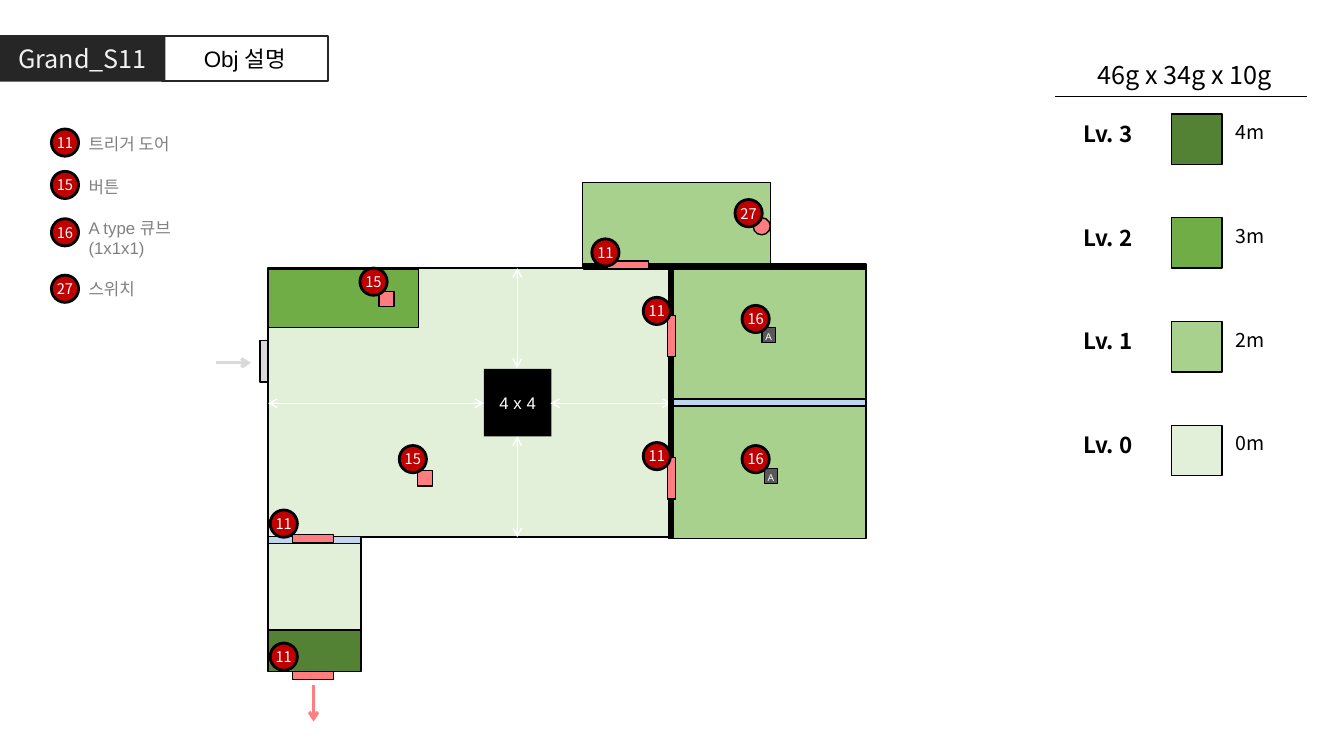
import pptx
import pptx.util
import pptx.dml.color
import pptx.enum.shapes
import pptx.enum.text
import pptx.oxml.ns
import lxml.etree

Inches, Pt = pptx.util.Inches, pptx.util.Pt
KIND = pptx.enum.shapes.MSO_SHAPE
ALIGN = pptx.enum.text.PP_ALIGN
ANCHOR = pptx.enum.text.MSO_ANCHOR
qn = pptx.oxml.ns.qn
NOTO, ARIAL = "Noto Sans CJK KR", "Arial"
COLORS = {
    "black": "000000", "white": "FFFFFF", "dark": "262626", "pale": "F2F2F2",
    "lv0": "E2F0D9", "lv1": "A9D18E", "lv2": "70AD47", "lv3": "548235",
    "glass": "BDD7EE", "pink": "FF7C80", "red": "C00000",
    "cube": "595959", "gray": "808080", "entry": "D9D9D9",
}
ROOMS = [
    ("lv1", 5.78, 1.81, 1.86, 0.85), ("lv0", 2.66, 2.66, 4, 2.67),
    ("lv1", 6.66, 2.66, 1.93, 1.34), ("lv1", 6.66, 4, 1.93, 1.34),
    ("lv2", 2.66, 2.67, 1.49, 0.58), ("lv0", 2.66, 5.33, 0.92, 0.92),
    ("lv3", 2.66, 6.25, 0.92, 0.41),
]
WALLS = [
    ("black", 5.79, 2.62, 2.8, 0.05), ("glass", 6.66, 3.96, 1.93, 0.07),
    ("glass", 2.66, 5.32, 0.92, 0.07), ("black", 6.63, 2.67, 0.05, 2.67),
]
SPANS = [
    (5.13, 2.66, 5.13, 3.65), (5.13, 4.33, 5.13, 5.33),
    (2.66, 4, 4.8, 4), (5.46, 4, 6.66, 4),
]
BADGES = [
    (15, 3.57, 2.66), (15, 3.96, 4.42), (11, 2.68, 5.06), (11, 6.38, 4.39),
    (11, 6.38, 2.95), (11, 5.87, 2.37), (27, 7.29, 1.98), (16, 7.36, 3.03),
    (16, 7.36, 4.42), (11, 2.68, 6.38),
]
LEGEND = [
    (11, "트리거 도어", 1.28, 1.28), (15, "버튼", 1.7, 1.7),
    (16, "A type 큐브 (1x1x1)", 2.17, 2.11), (27, "스위치", 2.73, 2.72),
]
LEVELS = [("lv3", "Lv. 3", "4m"), ("lv2", "Lv. 2", "3m"),
          ("lv1", "Lv. 1", "2m"), ("lv0", "Lv. 0", "0m")]


def rgb(name):
    """Return the named colour."""
    return pptx.dml.color.RGBColor.from_string(COLORS[name])


def apply(target, style):
    """Set each attribute of the target from a dict."""
    for key, value in style.items():
        setattr(target, key, value)


def write(shape, text, size, color="black", font=NOTO, bold=False,
          align=ALIGN.CENTER, anchor=ANCHOR.MIDDLE, pad=(0.1, 0.05), wrap=True):
    """Put one formatted paragraph into a shape."""
    side, edge = map(Inches, pad)
    frame = shape.text_frame
    apply(frame, {"word_wrap": wrap, "vertical_anchor": anchor,
                  "margin_left": side, "margin_right": side,
                  "margin_top": edge, "margin_bottom": edge})
    para = frame.paragraphs[0]
    para.alignment = align
    run = para.add_run()
    run.text = text
    apply(run.font, {"size": Pt(size), "name": font, "bold": bold})
    run.font.color.rgb = rgb(color)
    east = lxml.etree.SubElement(run.font._element, qn("a:ea"))
    east.set("typeface", NOTO)


def block(slide, fill, x, y, w, h, line="black", width=1, kind=KIND.RECTANGLE):
    """Add a filled and outlined shape."""
    shape = slide.shapes.add_shape(kind, *map(Inches, (x, y, w, h)))
    shape.shadow.inherit = False
    if fill:
        shape.fill.solid()
        shape.fill.fore_color.rgb = rgb(fill)
    else:
        shape.fill.background()
    if line:
        shape.line.color.rgb = rgb(line)
        shape.line.width = Pt(width)
    else:
        shape.line.fill.background()
    return shape


def label(slide, text, x, y, w, h, size, **style):
    """Add a text box, left and top aligned by default."""
    box = slide.shapes.add_textbox(*map(Inches, (x, y, w, h)))
    write(box, text, size, **{"align": ALIGN.LEFT, "anchor": ANCHOR.TOP, **style})


def rule(slide, ends, color, width=1, tips=()):
    """Add a straight line with arrowheads at the named ends."""
    line = slide.shapes.add_connector(
        pptx.enum.shapes.MSO_CONNECTOR.STRAIGHT, *map(Inches, ends))
    line.line.color.rgb = rgb(color)
    line.line.width = Pt(width)
    for tip in tips:
        end = lxml.etree.SubElement(line.line._get_or_add_ln(), qn(f"a:{tip}"))
        end.set("type", "arrow")
    lxml.etree.SubElement(line._element.spPr, qn("a:effectLst"))


def badge(slide, number, x, y):
    """Add a numbered red disc."""
    disc = block(slide, "red", x, y, 0.27, 0.27, width=2, kind=KIND.OVAL)
    write(disc, str(number), 10.5, "white", pad=(0, 0), wrap=False)


def header(slide):
    """Draw the title bar."""
    name = block(slide, "dark", 0, 0.35, 1.64, 0.46, line=None)
    write(name, "Grand_S11", 18, "pale")
    topic = block(slide, None, 1.61, 0.36, 1.64, 0.44, line="dark", width=1.5)
    write(topic, "Obj 설명", 16, font=ARIAL)


def levels(slide):
    """Draw the height key."""
    label(slide, "46g x 34g x 10g", 10.65, 0.54, 2.2, 0.4, 18, align=ALIGN.CENTER)
    rule(slide, (10.46, 0.96, 12.96, 0.96), "black")
    for row, (color, level, height) in enumerate(LEVELS):
        top = 1.13 + 1.03 * row
        block(slide, color, 11.62, top, 0.5, 0.5)
        label(slide, level, 10.65, top + 0.01, 1.07, 0.36, 16, bold=True)
        label(slide, height, 12.16, top + 0.01, 0.71, 0.33, 14)


def plan(slide):
    """Draw the floor plan with its doors and objects."""
    for room in ROOMS:
        block(slide, *room)
    core = block(slide, "black", 4.8, 3.66, 0.67, 0.67, line=None)
    write(core, "4 x 4", 12, "white", ARIAL)
    for span in SPANS:
        rule(slide, span, "white", tips=("headEnd", "tailEnd"))
    for wall in WALLS:
        block(slide, *wall)
    for x, y in ((6.02, 2.59), (2.9, 5.3), (2.9, 6.66)):
        block(slide, "pink", x, y, 0.41, 0.08)
    for y in (3.13, 4.54):
        block(slide, "pink", 6.62, y, 0.08, 0.41)
    block(slide, "entry", 2.58, 3.38, 0.08, 0.41)
    for x, y in ((3.76, 2.89), (4.14, 4.67)):
        block(slide, "pink", x, y, 0.15, 0.15)
    for x, y in ((7.56, 3.25), (7.58, 4.65)):
        cube = block(slide, "cube", x, y, 0.13, 0.15)
        write(cube, "A", 7, "white", ARIAL, pad=(0, 0.03), anchor=ANCHOR.TOP, wrap=False)
    block(slide, "pink", 7.47, 2.16, 0.17, 0.17, kind=KIND.OVAL)
    rule(slide, (2.14, 3.6, 2.49, 3.6), "entry", 2.25, ("tailEnd",))
    rule(slide, (3.11, 6.8, 3.11, 7.16), "pink", 2.25, ("tailEnd",))
    for mark in BADGES:
        badge(slide, *mark)


def legend(slide):
    """Draw the object key."""
    for number, text, top, base in LEGEND:
        badge(slide, number, 0.51, top)
        label(slide, text, 0.78, base, 1.18, 0.3, 12, color="gray", font=ARIAL)


def main():
    """Build and save the slide."""
    deck = pptx.Presentation()
    apply(deck, {"slide_width": Inches(13.33), "slide_height": Inches(7.5)})
    slide = deck.slides.add_slide(deck.slide_layouts[6])
    for draw in (header, levels, plan, legend):
        draw(slide)
    deck.save("out.pptx")


main()
